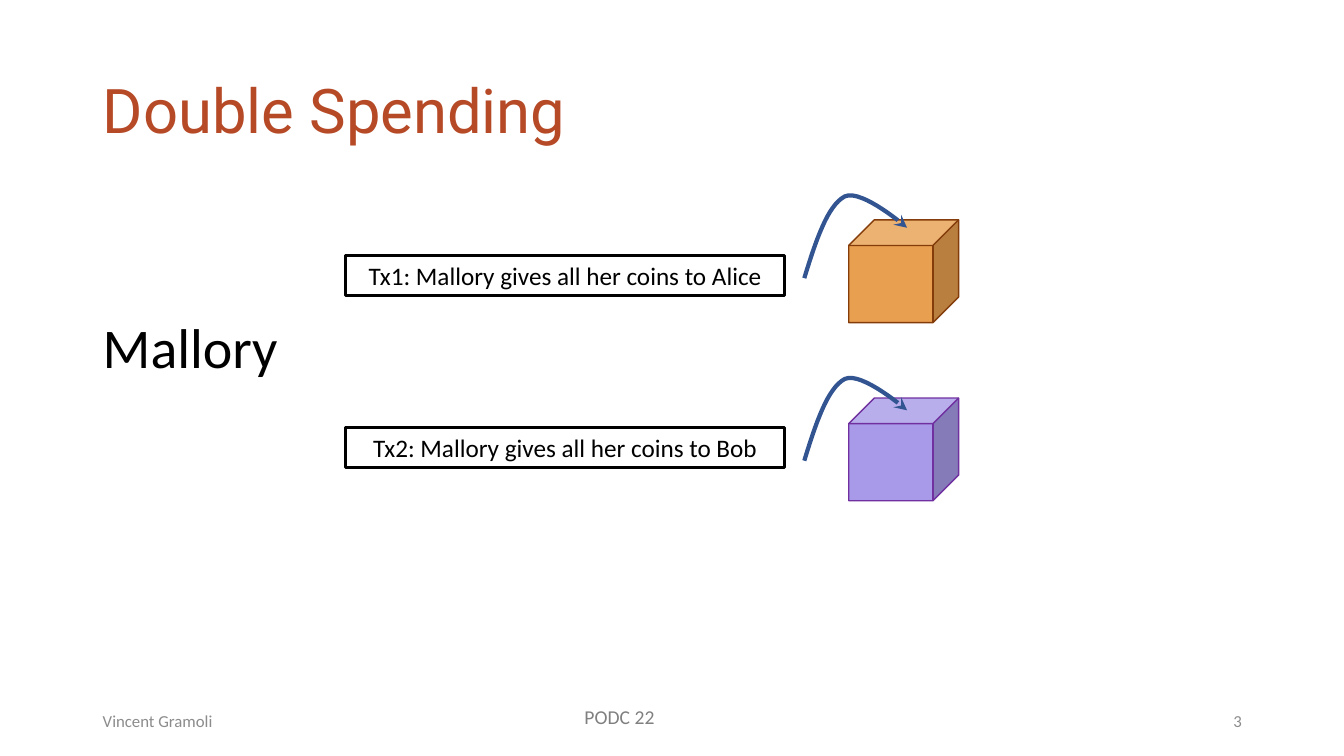
from lxml import etree
from pptx import Presentation
from pptx.dml.color import RGBColor
from pptx.enum import shapes, text
from pptx.oxml.ns import qn
from pptx.util import Cm, Pt

# Arrow curve in cm from its tail: two cubic Bézier pieces
ARROW = [
    [(0, 0), (0.28, -0.91), (0.58, -1.83), (1.02, -2.06)],
    [(1.02, -2.06), (1.45, -2.26), (2.59, -1.27), (2.59, -1.27)],
]


def rgb(value):
    return RGBColor.from_string(value)


def write(sp, words, size, color, font="Calibri", align=text.PP_ALIGN.LEFT,
          anchor=text.MSO_ANCHOR.TOP, wrap=True):
    tf = sp.text_frame
    tf.text = words
    tf.word_wrap = wrap
    tf.vertical_anchor = anchor
    p = tf.paragraphs[0]
    p.alignment = align
    r = p.runs[0]
    r.font.size = Pt(size)
    r.font.name = font
    r.font.color.rgb = rgb(color)
    return p


def add_label(s, box, *args, **kwargs):
    sp = s.shapes.add_textbox(*map(Cm, box))
    return write(sp, *args, **kwargs)


def add_preset(s, kind, box, line, width, fill=None):
    sp = s.shapes.add_shape(kind, *map(Cm, box))
    sp.shadow.inherit = False
    if fill:
        sp.fill.solid()
        sp.fill.fore_color.rgb = rgb(fill)
    else:
        sp.fill.background()
    sp.line.color.rgb = rgb(line)
    sp.line.width = Pt(width)
    return sp


def bezier(points, t):
    weights = ((1 - t) ** 3, 3 * t * (1 - t) ** 2, 3 * t ** 2 * (1 - t), t ** 3)
    return tuple(sum(w * p[axis] for w, p in zip(weights, points)) for axis in (0, 1))


def add_curved_arrow(s, left, top, steps=16):
    curve = [bezier(piece, i / steps) for piece in ARROW for i in range(1, steps + 1)]
    builder = s.shapes.build_freeform(Cm(left), Cm(top))
    builder.add_line_segments([(Cm(left + x), Cm(top + y)) for x, y in curve], close=False)
    sp = builder.convert_to_shape()
    sp.shadow.inherit = False
    sp.fill.background()
    sp.line.color.rgb = rgb("325491")
    sp.line.width = Pt(3)
    ln = sp.line._get_or_add_ln()
    etree.SubElement(ln, qn("a:round"))
    etree.SubElement(ln, qn("a:tailEnd"), type="stealth")


def add_title(s, box):
    p = add_label(s, box, "Double Spending", 44, "B64926", font="Roboto",
                  anchor=text.MSO_ANCHOR.MIDDLE)
    p.line_spacing = 0.9


def add_transaction(s, left, box_top, cube_top, arrow_top, words, fill, line):
    """A framed transaction, its block and the arrow between them."""
    add_preset(s, shapes.MSO_SHAPE.CUBE, (left + 12.68, cube_top, 2.77, 2.59), line, 1, fill)
    sp = add_preset(s, shapes.MSO_SHAPE.RECTANGLE, (left, box_top, 11.07, 1.02), "000000", 2)
    write(sp, words, 18, "000000", align=text.PP_ALIGN.CENTER)
    add_curved_arrow(s, left + 11.56, arrow_top)


def add_footer(s, left, top, width):
    grey, middle = "8C8C8C", text.MSO_ANCHOR.MIDDLE
    add_label(s, (left, top, 7.62, 1.02), "Vincent Gramoli", 12, grey, anchor=middle)
    add_label(s, (left + 12.14, top, 2.41, 0.86), "PODC 22", 14, "808080", wrap=False)
    add_label(s, (left + width - 7.62, top, 7.62, 1.02), "3", 12, grey,
              align=text.PP_ALIGN.RIGHT, anchor=middle)


def main():
    prs = Presentation()
    prs.slide_width, prs.slide_height = Cm(33.87), Cm(19.05)
    s = prs.slides.add_slide(prs.slide_layouts[6])
    margin, width = 2.34, 29.21

    add_title(s, (margin, 1.02, width, 3.68))

    # Sender and her two conflicting transactions
    add_label(s, (margin, 7.75, 4.98, 1.96), "Mallory", 40, "000000", wrap=False)
    add_transaction(s, 8.71, 6.43, 5.54, 7.01,
                    "Tx1: Mallory gives all her coins to Alice", "E89F4F", "843C0B")
    add_transaction(s, 8.71, 10.77, 10.03, 11.61,
                    "Tx2: Mallory gives all her coins to Bob", "A89AE8", "7030A0")

    add_footer(s, margin, 17.65, width)
    prs.save("out.pptx")


if __name__ == "__main__":
    main()
